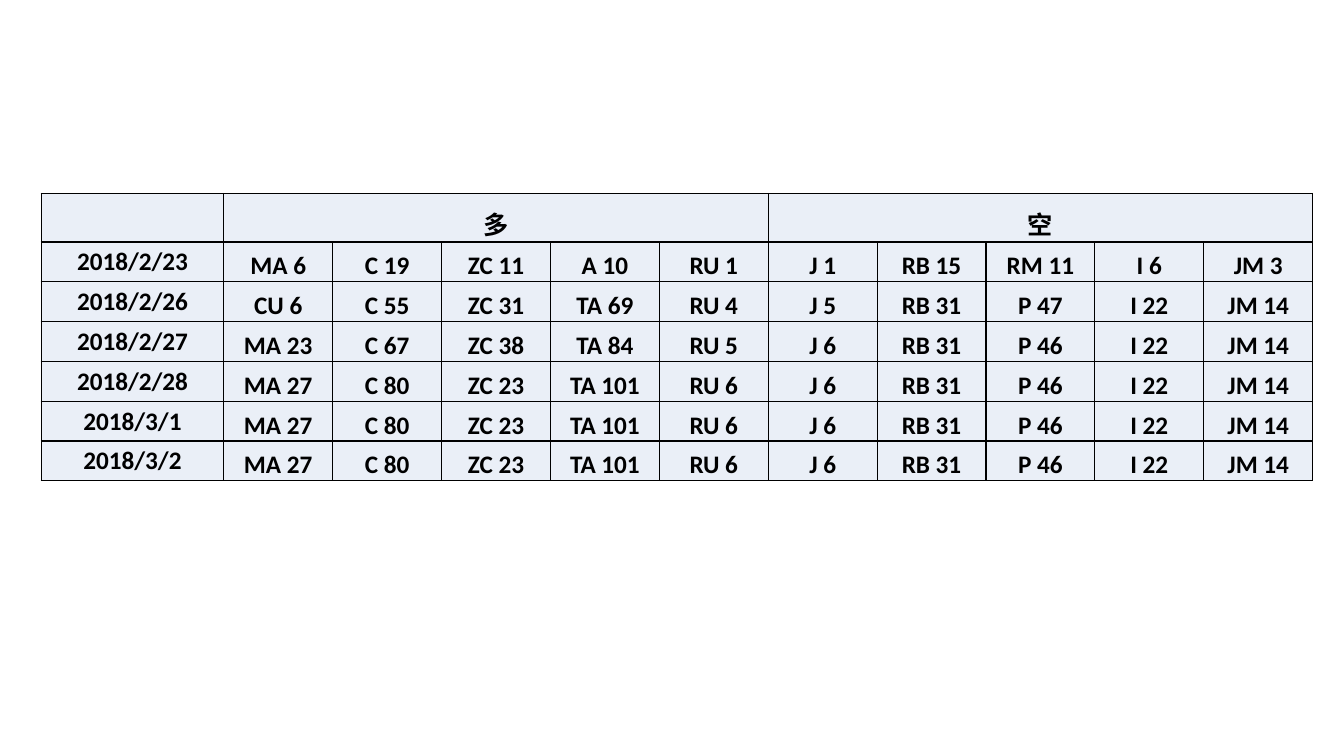
import lxml.etree
import pptx
import pptx.dml.color
import pptx.enum.text
import pptx.oxml.ns
import pptx.util

Inches = pptx.util.Inches
COLORS = {"cell": "EAEFF7", "ink": "000000"}
GROUPS = ["多", "空"]
GROUP_SIZE = 5
POSITIONS = [
    ["2018/2/23", "MA 6", "C 19", "ZC 11", "A 10", "RU 1", "J 1", "RB 15", "RM 11", "I 6", "JM 3"],
    ["2018/2/26", "CU 6", "C 55", "ZC 31", "TA 69", "RU 4", "J 5", "RB 31", "P 47", "I 22", "JM 14"],
    ["2018/2/27", "MA 23", "C 67", "ZC 38", "TA 84", "RU 5", "J 6", "RB 31", "P 46", "I 22", "JM 14"],
]
SETTLED = ["MA 27", "C 80", "ZC 23", "TA 101", "RU 6", "J 6", "RB 31", "P 46", "I 22", "JM 14"]
POSITIONS += [[day] + SETTLED for day in ("2018/2/28", "2018/3/1", "2018/3/2")]


def rgb(name):
    """Return the named colour."""
    return pptx.dml.color.RGBColor.from_string(COLORS[name])


def write(tf, text, size=18, font="Calibri", color="ink", bold=True):
    """Write one centred, formatted line of text."""
    p = tf.paragraphs[0]
    p.alignment = pptx.enum.text.PP_ALIGN.CENTER
    r = p.add_run()
    r.text = text
    r.font.size = pptx.util.Pt(size)
    r.font.name = font
    r.font.bold = bold
    r.font.color.rgb = rgb(color)


class Deck:
    """Hold the presentation, its style and the current slide."""

    def __init__(self, width, height):
        """Start a presentation with one blank slide."""
        self.prs = pptx.Presentation()
        self.prs.slide_width = Inches(width)
        self.prs.slide_height = Inches(height)
        self.s = self.prs.slides.add_slide(self.prs.slide_layouts[6])
        self.border = pptx.util.Pt(1)

    def borders(self, cell):
        """Draw a solid line on all four sides of a cell."""
        qn = pptx.oxml.ns.qn
        props = cell._tc.get_or_add_tcPr()
        for side in ("a:lnL", "a:lnR", "a:lnT", "a:lnB"):
            ln = lxml.etree.SubElement(props, qn(side), w=str(self.border))
            fill = lxml.etree.SubElement(ln, qn("a:solidFill"))
            lxml.etree.SubElement(fill, qn("a:srgbClr"), val=COLORS["ink"])

    def cell(self, cell, text, anchor):
        """Format a cell and write its text."""
        self.borders(cell)
        cell.fill.solid()
        cell.fill.fore_color.rgb = rgb("cell")
        cell.margin_left = cell.margin_right = cell.margin_top = Inches(0.01)
        cell.margin_bottom = 0
        cell.vertical_anchor = anchor
        if text:
            write(cell.text_frame, text)

    def table(self, left, top, widths, heights, rows):
        """Add a table with dates centred and other cells set low."""
        sp = self.s.shapes.add_table(
            len(heights), len(widths), Inches(left), Inches(top),
            Inches(sum(widths)), Inches(sum(heights)))
        table = sp.table
        for column, width in zip(table.columns, widths):
            column.width = Inches(width)
        for row, height in zip(table.rows, heights):
            row.height = Inches(height)
        anchors = pptx.enum.text.MSO_ANCHOR
        for i, row in enumerate(rows):
            for j, text in enumerate(row):
                self.cell(table.cell(i, j), text, anchors.BOTTOM if j else anchors.MIDDLE)
        return table


def main():
    """Build the slide of daily long and short positions."""
    deck = Deck(13.33, 7.5)
    header = [""]
    for group in GROUPS:
        header += [group] + [""] * (GROUP_SIZE - 1)
    widths = [1.81] + [1.08] * (len(header) - 1)
    heights = [0.48] + [2.37 / len(POSITIONS)] * len(POSITIONS)
    table = deck.table(0.41, 1.92, widths, heights, [header] + POSITIONS)
    for first in range(1, len(header), GROUP_SIZE):
        table.cell(0, first).merge(table.cell(0, first + GROUP_SIZE - 1))
    deck.prs.save("out.pptx")


if __name__ == "__main__":
    main()
